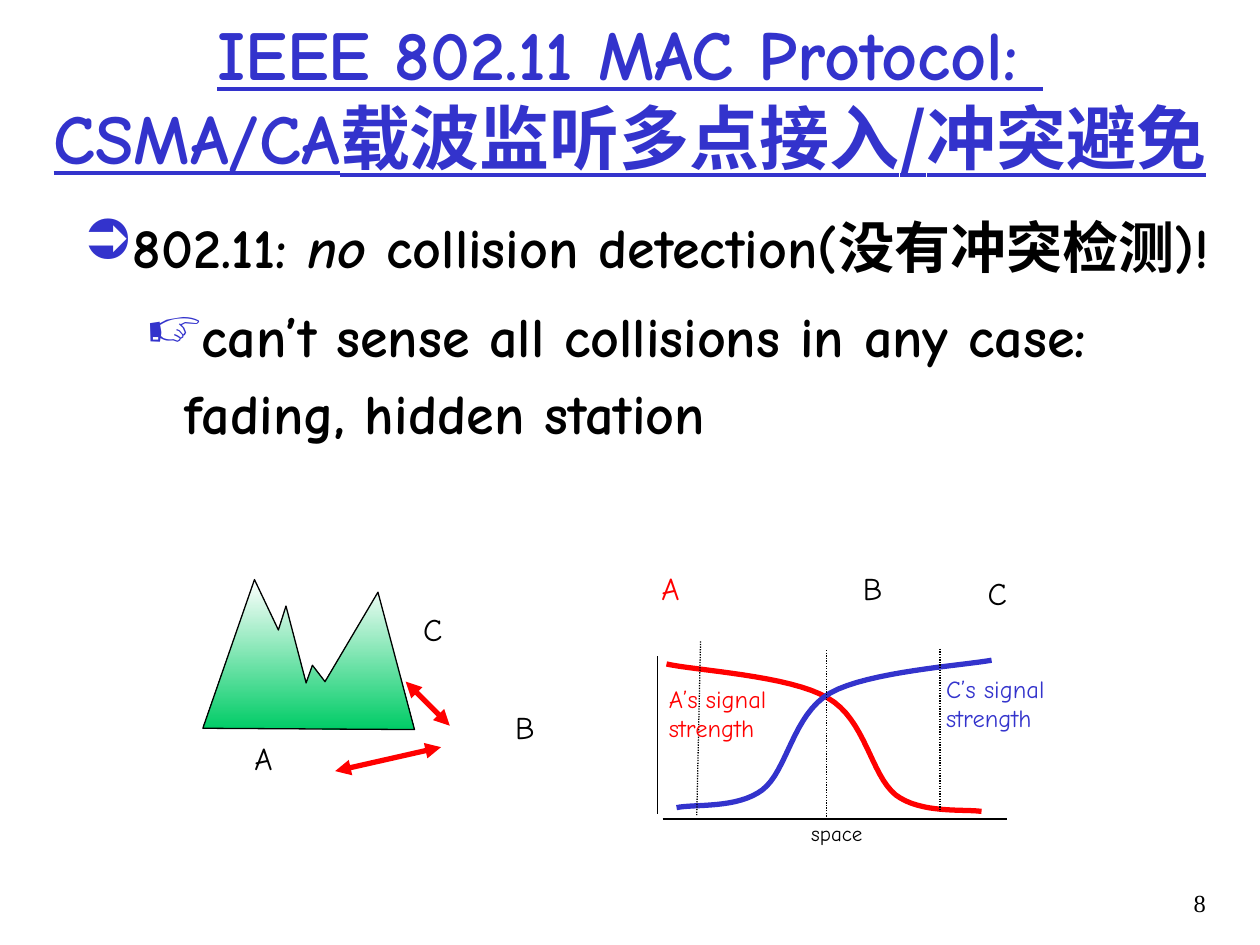
from lxml import etree
from pptx import Presentation
from pptx.dml.color import RGBColor
from pptx.enum.dml import MSO_LINE_DASH_STYLE as DASH
from pptx.enum.shapes import MSO_CONNECTOR
from pptx.enum.text import MSO_ANCHOR, MSO_AUTO_SIZE, PP_ALIGN
from pptx.oxml.ns import qn
from pptx.util import Inches, Pt

BLACK, RED, BLUE, WHITE, GREEN = "000000", "FF0000", "3333CC", "FFFFFF", "00CC66"
COMIC, CJK = "Comic Neue", "Noto Sans CJK SC"


def color(value):
    return RGBColor.from_string(value)


def add_run(paragraph, text, size, fill, name=COMIC, bold=None):
    run = paragraph.add_run()
    run.text = text
    run.font.size = Pt(size)
    run.font.name = name
    run.font.bold = bold
    run.font.color.rgb = color(fill)
    # East Asian typeface follows the Latin one
    latin = run.font._element.find(qn("a:latin"))
    east_asian = etree.Element(qn("a:ea"), typeface=CJK)
    latin.addnext(east_asian)
    return run


presentation = Presentation()
presentation.slide_width, presentation.slide_height = Inches(10), Inches(7.5)
slide = presentation.slides.add_slide(presentation.slide_layouts[5])
shapes = slide.shapes

# Title
title = shapes.title
title.left, title.top, title.width, title.height = 0, 0, Inches(10), Inches(1.5)
title.text_frame.auto_size = MSO_AUTO_SIZE.NONE
title.text_frame.word_wrap = True
title.text_frame.vertical_anchor = MSO_ANCHOR.MIDDLE
paragraph = title.text_frame.paragraphs[0]
paragraph.alignment = PP_ALIGN.CENTER
add_run(paragraph, "IEEE 802.11 MAC Protocol: ", 40, BLUE, bold=True).font.underline = True
paragraph.add_line_break()
for text, name in (("CSMA/CA", COMIC), ("载波监听多点接入/冲突避免", CJK)):
    add_run(paragraph, text, 40, BLUE, name, True).font.underline = True

# Bulleted statements: bullet, left margin, hanging indent, runs with italic flag
statements = [
    ("➲", 0.38, 0.38, [("802.11: ", False), ("no", True),
                       (" collision detection(没有冲突检测)!", False)]),
    ("☞", 0.81, 0.31, [("can’t sense all collisions in any case: "
                        "fading, hidden station", False)]),
]
body = shapes.add_textbox(Inches(0.56), Inches(1.56), Inches(9.44), Inches(4.97))
body.text_frame.word_wrap = True
for index, (bullet, margin, hanging, runs) in enumerate(statements):
    paragraph = body.text_frame.paragraphs[0] if index == 0 else body.text_frame.add_paragraph()
    paragraph.level = index
    paragraph.line_spacing = 1.15
    if index:
        paragraph.space_before = Pt(6.4)
    properties = paragraph._p.get_or_add_pPr()
    properties.set("marL", str(Inches(margin)))
    properties.set("indent", str(-Inches(hanging)))
    bullet_color = etree.SubElement(properties, qn("a:buClr"))
    etree.SubElement(bullet_color, qn("a:srgbClr"), val=BLUE)
    etree.SubElement(properties, qn("a:buChar"), char=bullet)
    for text, italic in runs:
        add_run(paragraph, text, 32, BLACK, bold=True).font.italic = italic

# Mountain between stations A and C
mountain_points = [(1.61, 5.78), (2.02, 4.6), (2.21, 5), (2.27, 4.81), (2.43, 5.42),
                   (2.48, 5.28), (2.58, 5.41), (3, 4.7), (3.29, 5.79)]
builder = shapes.build_freeform(Inches(1.61), Inches(5.78))
builder.add_line_segments([(Inches(x), Inches(y)) for x, y in mountain_points[1:]], close=True)
mountain = builder.convert_to_shape()
mountain.shadow.inherit = False
mountain.fill.gradient()
mountain.fill.gradient_angle = 270
for stop, position, value in zip(mountain.fill.gradient_stops, (0, 1), (WHITE, GREEN)):
    stop.position = position
    stop.color.rgb = color(value)
mountain.line.color.rgb = color(BLACK)
mountain.line.width = Pt(0.75)

# Signal strength curves: chained cubic Bezier points
curves = [
    (RED, [(5.29, 5.27), (5.5, 5.32), (6.27, 5.36), (6.57, 5.54), (6.87, 5.71),
           (6.91, 6.15), (7.11, 6.31), (7.31, 6.46), (7.65, 6.42), (7.79, 6.44)]),
    (BLUE, [(7.87, 5.24), (7.66, 5.28), (6.89, 5.33), (6.59, 5.5), (6.29, 5.67),
            (6.25, 6.12), (6.05, 6.27), (5.85, 6.42), (5.51, 6.38), (5.37, 6.41)]),
]
STEPS = 16
for value, controls in curves:
    points = []
    for first in range(0, len(controls) - 1, 3):
        for step in range(1, STEPS + 1):
            t = step / STEPS
            weights = ((1 - t) ** 3, 3 * t * (1 - t) ** 2, 3 * t ** 2 * (1 - t), t ** 3)
            segment = controls[first:first + 4]
            points.append([Inches(sum(w * point[axis] for w, point in zip(weights, segment)))
                           for axis in (0, 1)])
    start_x, start_y = controls[0]
    builder = shapes.build_freeform(Inches(start_x), Inches(start_y))
    builder.add_line_segments(points, close=False)
    curve = builder.convert_to_shape()
    curve.shadow.inherit = False
    curve.fill.background()
    curve.line.color.rgb = color(value)
    curve.line.width = Pt(3)

# Radio links, chart axes and dotted station positions
links = [(2.66, 6.12, 3.5, 5.93), (3.22, 5.41, 3.57, 5.76)]
axes = [(5.26, 6.5, 7.99, 6.5), (5.22, 5.21, 5.22, 6.46)]
stations = [(5.56, 5.09, 5.53, 6.47), (6.56, 5.16, 6.56, 6.49), (7.46, 5.15, 7.46, 6.44)]
for ends in links + axes + stations:
    connector = shapes.add_connector(MSO_CONNECTOR.STRAIGHT, *map(Inches, ends))
    is_link = ends in links
    connector.line.color.rgb = color(RED if is_link else BLACK)
    connector.line.width = Pt(3 if is_link else 0.75)
    if ends in stations:
        connector.line.dash_style = DASH.ROUND_DOT
    if is_link:
        line = connector.line._get_or_add_ln()
        for tag in ("a:headEnd", "a:tailEnd"):
            etree.SubElement(line, qn(tag), type="triangle")
    etree.SubElement(connector._element.spPr, qn("a:effectLst"))

# Labels: left, top, width, height, size, colour, lines
labels = [
    (1.92, 5.82, 0.38, 0.4, 18, BLACK, ["A"]),
    (3.99, 5.57, 0.36, 0.4, 18, BLACK, ["B"]),
    (3.26, 4.79, 0.35, 0.4, 18, BLACK, ["C"]),
    (5.15, 4.47, 0.38, 0.4, 18, RED, ["A"]),
    (6.75, 4.47, 0.36, 0.4, 18, BLACK, ["B"]),
    (7.74, 4.51, 0.35, 0.4, 18, BLACK, ["C"]),
    (5.21, 5.38, 1.04, 0.57, 14, RED, ["A’s signal", "strength"]),
    (7.41, 5.3, 1.01, 0.57, 14, BLUE, ["C’s signal", "strength"]),
    (6.34, 6.46, 0.63, 0.3, 12, BLACK, ["space"]),
]
for left, top, width, height, size, value, lines in labels:
    label = shapes.add_textbox(*map(Inches, (left, top, width, height)))
    label.text_frame.word_wrap = False
    label.text_frame.auto_size = MSO_AUTO_SIZE.SHAPE_TO_FIT_TEXT
    for index, text in enumerate(lines):
        paragraph = label.text_frame.add_paragraph() if index else label.text_frame.paragraphs[0]
        add_run(paragraph, text, size, value)

# Slide number
number = shapes.add_textbox(Inches(8.93), Inches(7), Inches(0.74), Inches(0.5))
number.text_frame.word_wrap = True
paragraph = number.text_frame.paragraphs[0]
paragraph.alignment = PP_ALIGN.RIGHT
add_run(paragraph, "8", 14, BLACK, "Times New Roman")

presentation.save("out.pptx")
